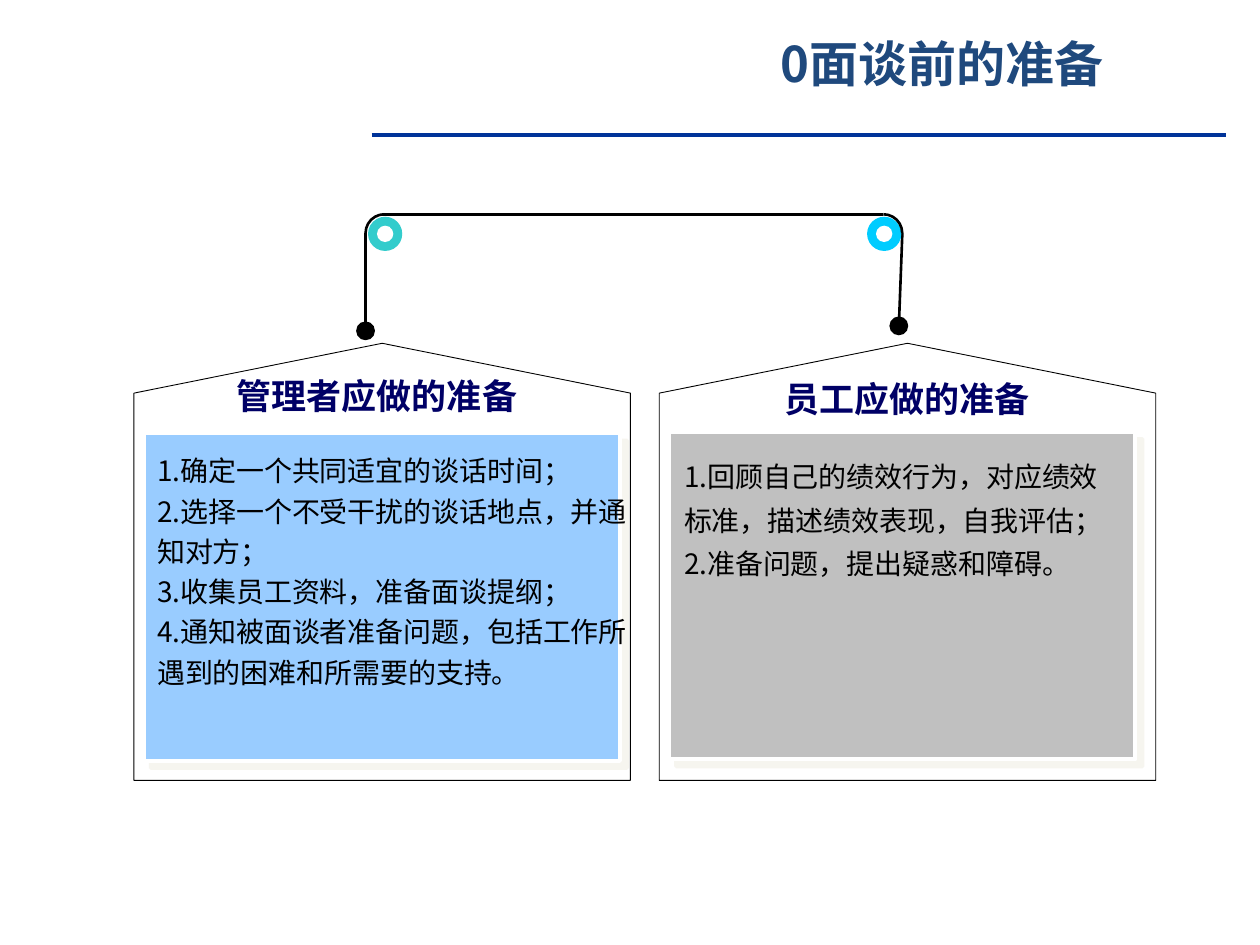
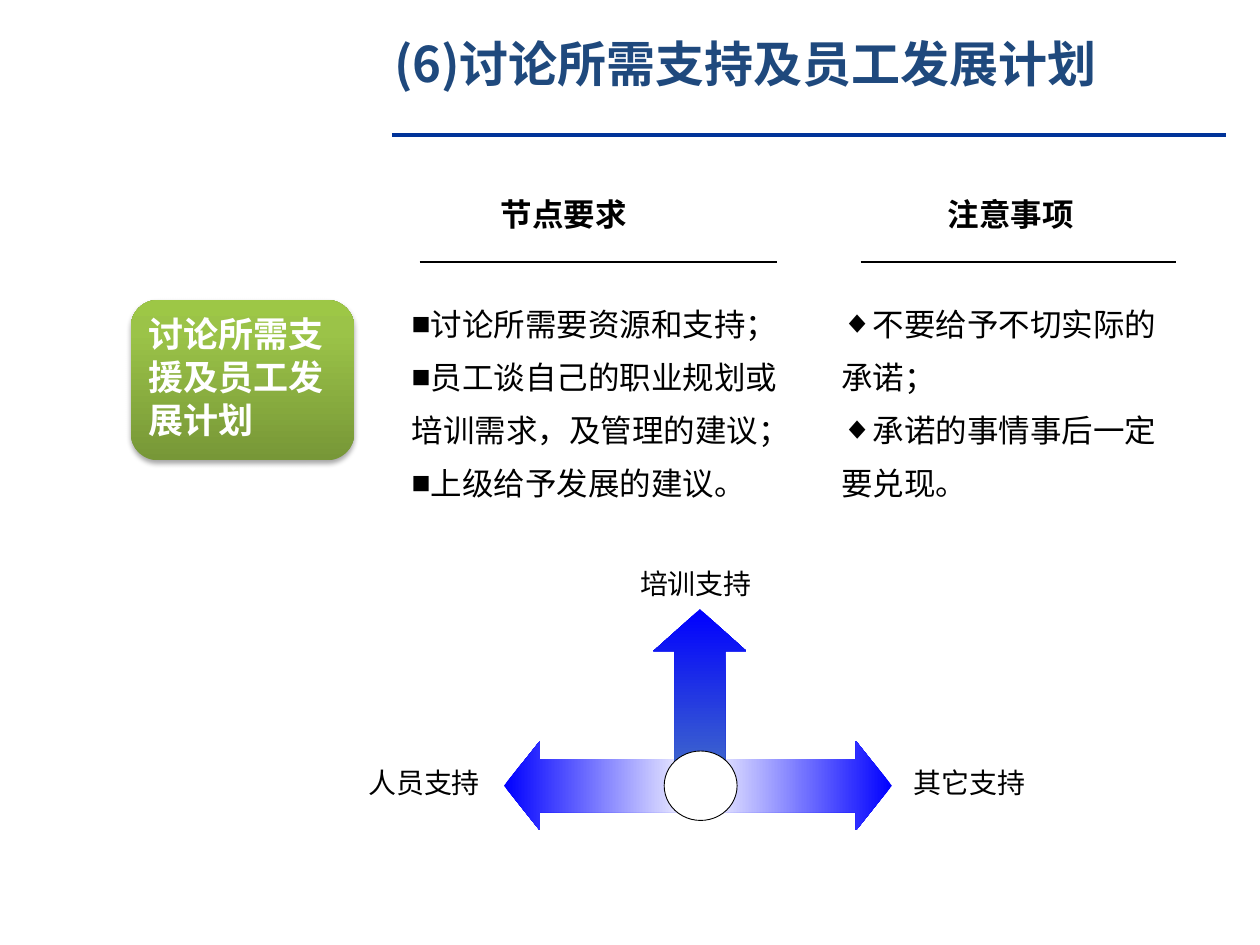
from lxml.etree import SubElement
from pptx import Presentation
from pptx.dml.color import RGBColor
from pptx.enum.shapes import MSO_CONNECTOR, MSO_SHAPE
from pptx.enum.text import MSO_ANCHOR, MSO_AUTO_SIZE, PP_ALIGN
from pptx.oxml.ns import qn
from pptx.util import Cm, Pt

NOTO = "Noto Sans CJK SC"
ARIAL = "Arial"

BLACK = RGBColor(0x00, 0x00, 0x00)
WHITE = RGBColor(0xFF, 0xFF, 0xFF)
TITLE = RGBColor(0x1F, 0x49, 0x7D)
RULE = RGBColor(0x00, 0x33, 0x99)
NAVY = RGBColor(0x00, 0x00, 0x66)
SKY = RGBColor(0x99, 0xCC, 0xFF)
GREY = RGBColor(0xC0, 0xC0, 0xC0)
CREAM = RGBColor(0xEE, 0xEC, 0xE1)
TEAL = RGBColor(0x33, 0xCC, 0xCC)
CYAN = RGBColor(0x00, 0xCC, 0xFF)
BLUE = RGBColor(0x00, 0x00, 0xFF)
STEEL = RGBColor(0x4F, 0x81, 0xBD)
MOSS = RGBColor(0x77, 0x97, 0x37)
LEAF = RGBColor(0x9B, 0xC3, 0x48)
LIME = RGBColor(0x9D, 0xC7, 0x46)


def style_text(frame, lines, size, color, font=NOTO, bold=False,
               align=PP_ALIGN.LEFT, space=None, before=None, bullet=None):
    frame.word_wrap = True
    frame.auto_size = MSO_AUTO_SIZE.NONE
    frame.text = "\n".join(lines)
    for para in frame.paragraphs:
        para.alignment = align
        para.line_spacing = space
        para.space_before = before
        if bullet:
            add_bullet(para, bullet)
        for run in para.runs:
            run.font.name = font
            run.font.size = Pt(size)
            run.font.bold = bold
            run.font.color.rgb = color
            SubElement(run.font._element, qn("a:ea"), typeface=NOTO)


def add_bullet(para, mark):
    props = para._p.get_or_add_pPr()
    props.set("marL", "0")
    props.set("indent", "0")
    SubElement(props, qn("a:buFont"), typeface=ARIAL)
    SubElement(props, qn("a:buChar"), char=mark)


def add_text(slide, left, top, width, height, lines, size, color, **style):
    box = slide.shapes.add_textbox(Cm(left), Cm(top), Cm(width), Cm(height))
    style_text(box.text_frame, lines, size, color, **style)
    return box.text_frame


def add_shape(slide, kind, left, top, width, height, fill=None, line=None,
              weight=0.5, adjust=()):
    shape = slide.shapes.add_shape(kind, Cm(left), Cm(top), Cm(width), Cm(height))
    shape.shadow.inherit = False
    for i, value in enumerate(adjust):
        shape.adjustments[i] = value
    if fill is None:
        shape.fill.background()
    else:
        shape.fill.solid()
        shape.fill.fore_color.rgb = fill
    if line is None:
        shape.line.fill.background()
    else:
        shape.line.color.rgb = line
        shape.line.width = Pt(weight)
    return shape


def add_line(slide, x1, y1, x2, y2, color=BLACK, weight=1.0):
    line = slide.shapes.add_connector(
        MSO_CONNECTOR.STRAIGHT, Cm(x1), Cm(y1), Cm(x2), Cm(y2))
    line.line.color.rgb = color
    line.line.width = Pt(weight)
    SubElement(line._element.spPr, qn("a:effectLst"))


def set_fade(shape, angle, stops):
    """Fill with a gradient; the angle runs counter-clockwise in degrees."""
    shape.fill.gradient()
    shape.fill.gradient_angle = angle
    group = shape._element.spPr.find(qn("a:gradFill")).find(qn("a:gsLst"))
    group.clear()
    for place, color in stops:
        stop = SubElement(group, qn("a:gs"), pos=str(place * 1000))
        SubElement(stop, qn("a:srgbClr"), val=str(color))


def set_shadow(shape, color, alpha, blur, dist, angle):
    effects = shape._element.spPr.find(qn("a:effectLst"))
    outer = SubElement(effects, qn("a:outerShdw"), blurRad=str(Pt(blur)),
                       dist=str(Pt(dist)), dir=str(angle * 60000),
                       algn="ctr", rotWithShape="0")
    tint = SubElement(outer, qn("a:srgbClr"), val=str(color))
    SubElement(tint, qn("a:alpha"), val=str(alpha * 1000))


def add_slide(deck, title, left, width, rule):
    """Add a slide with its title and the blue rule that starts at rule."""
    slide = deck.slides.add_slide(deck.slide_layouts[5])
    head = slide.shapes.title
    head.left, head.top = Cm(left), Cm(0.43)
    head.width, head.height = Cm(width), Cm(1.68)
    style_text(head.text_frame, [title], 28, TITLE, bold=True,
               align=PP_ALIGN.CENTER)
    head.text_frame.vertical_anchor = MSO_ANCHOR.MIDDLE
    add_line(slide, rule, 2.72, 24.71, 2.72, RULE, 2)
    return slide


def add_house(slide, left):
    house = add_shape(slide, MSO_SHAPE.PENTAGON, left, 6.32, 8.81, 10.01,
                      line=BLACK, adjust=[0.114])
    house.rotation = 270


def add_panel(slide, left, top, width, fill):
    panel = add_shape(slide, MSO_SHAPE.RECTANGLE, left, top, width, 6.6,
                      fill, WHITE, 2.25)
    set_shadow(panel, CREAM, 50, 0, 5.7, 45)


def add_rope(slide, x, y, turn, ring, color, arc, start):
    """Draw a weight at x, y, its rope up to turn, the pulley and the bend."""
    add_shape(slide, MSO_SHAPE.OVAL, x - 0.19, y - 0.19, 0.38, 0.38, BLACK)
    add_line(slide, x, y, turn, 4.7, weight=1.5)
    add_shape(slide, MSO_SHAPE.OVAL, ring, 4.37, 0.69, 0.69, color)
    add_shape(slide, MSO_SHAPE.OVAL, ring + 0.18, 4.55, 0.33, 0.33, WHITE)
    # An angle is stored in 60000ths of a degree, an adjustment in 100000ths.
    add_shape(slide, MSO_SHAPE.ARC, arc, 4.32, 0.76, 0.76, line=BLACK,
              weight=1.5, adjust=[start * 0.6, (start + 90) % 360 * 0.6])


def build_prep(deck):
    slide = add_slide(deck, "0面谈前的准备", 12.98, 12.01, 7.49)
    add_house(slide, 3.3)
    add_panel(slide, 2.9, 8.74, 9.6, SKY)
    add_rope(slide, 7.37, 6.67, 7.37, 7.42, TEAL, 7.37, 180)
    add_rope(slide, 18.12, 6.57, 18.19, 17.48, CYAN, 17.43, 270)
    add_line(slide, 17.81, 4.32, 7.72, 4.32, weight=1.5)
    add_panel(slide, 13.49, 8.71, 9.4, GREY)
    add_text(slide, 2.92, 8.89, 10.01, 5.16, [
        "1.确定一个共同适宜的谈话时间；",
        "2.选择一个不受干扰的谈话地点，并通知对方；",
        "3.收集员工资料，准备面谈提纲；",
        "4.通知被面谈者准备问题，包括工作所遇到的困难和所需要的支持。",
    ], 16, BLACK, space=1.2)
    for left, top, width, head in ((4.5, 7.09, 6.2, "管理者应做的准备"),
                                   (15.29, 7.14, 5.99, "员工应做的准备")):
        add_text(slide, left, top, width, 1.45, [head], 20, NAVY, bold=True,
                 align=PP_ALIGN.CENTER, space=1.4)
    add_text(slide, 13.54, 8.94, 9.32, 2.9, [
        "1.回顾自己的绩效行为，对应绩效标准，描述绩效表现，自我评估；",
        "2.准备问题，提出疑惑和障碍。",
    ], 16, BLACK, space=1.3)
    add_house(slide, 13.89)


def add_column(slide, head, head_left, start, end, left, width, mark, lines):
    add_text(slide, head_left, 3.81, 5.36, 1.02, [head], 18, BLACK, bold=True,
             align=PP_ALIGN.CENTER)
    add_line(slide, start, 5.28, end, 5.28)
    frame = add_text(slide, left, 5.72, width, 4.52, lines, 18, BLACK,
                     font=ARIAL, space=1.4, bullet=mark)
    frame.vertical_anchor = MSO_ANCHOR.MIDDLE


def add_label(slide, left, top, text):
    frame = add_text(slide, left, top, 2.26, 0.69, [text], 16, BLACK,
                     font=ARIAL, align=PP_ALIGN.CENTER)
    frame.word_wrap = False
    frame.margin_left = frame.margin_right = 0
    frame.margin_top = frame.margin_bottom = 0


def build_plan(deck):
    slide = add_slide(deck, "(6)讨论所需支持及员工发展计划", 6.55, 16.94, 7.9)
    wide = add_shape(slide, MSO_SHAPE.LEFT_RIGHT_ARROW, 10.16, 14.94, 7.82, 1.8,
                     adjust=[0.593, 0.402])
    set_fade(wide, 0, [(0, BLUE), (50, WHITE), (100, BLUE)])
    tall = add_shape(slide, MSO_SHAPE.UP_ARROW, 13.17, 12.28, 1.88, 4.04,
                     adjust=[0.54, 0.45])
    set_fade(tall, 270, [(0, BLUE), (100, STEEL)])
    add_shape(slide, MSO_SHAPE.OVAL, 13.39, 15.14, 1.47, 1.4, WHITE, BLACK)
    for left, top, text in ((12.9, 11.43, "培训支持"),
                            (18.42, 15.44, "其它支持"),
                            (7.42, 15.44, "人员支持")):
        add_label(slide, left, top, text)

    add_column(slide, "节点要求", 8.69, 8.46, 15.67, 8.05, 8.26, "■", [
        "讨论所需要资源和支持；",
        "员工谈自己的职业规划或培训需求，及管理的建议；",
        "上级给予发展的建议。",
    ])
    add_column(slide, "注意事项", 17.7, 17.35, 23.7, 16.71, 7.19, "◆", [
        "不要给予不切实际的承诺；",
        "承诺的事情事后一定要兑现。",
    ])

    badge = add_shape(slide, MSO_SHAPE.ROUNDED_RECTANGLE, 2.64, 6.05, 4.5, 3.23,
                      adjust=[0.167])
    set_fade(badge, 90, [(0, MOSS), (80, LEAF), (100, LIME)])
    set_shadow(badge, BLACK, 35, 3.1, 1.8, 90)
    add_text(slide, 2.74, 6.48, 4.8, 2.62,
             ["讨论所需支", "援及员工发", "展计划"], 20, WHITE, bold=True,
             space=0.6, before=Pt(10))


def main():
    deck = Presentation()
    deck.slide_width, deck.slide_height = Cm(25.4), Cm(19.05)
    build_prep(deck)
    build_plan(deck)
    deck.save("out.pptx")


if __name__ == "__main__":
    main()
